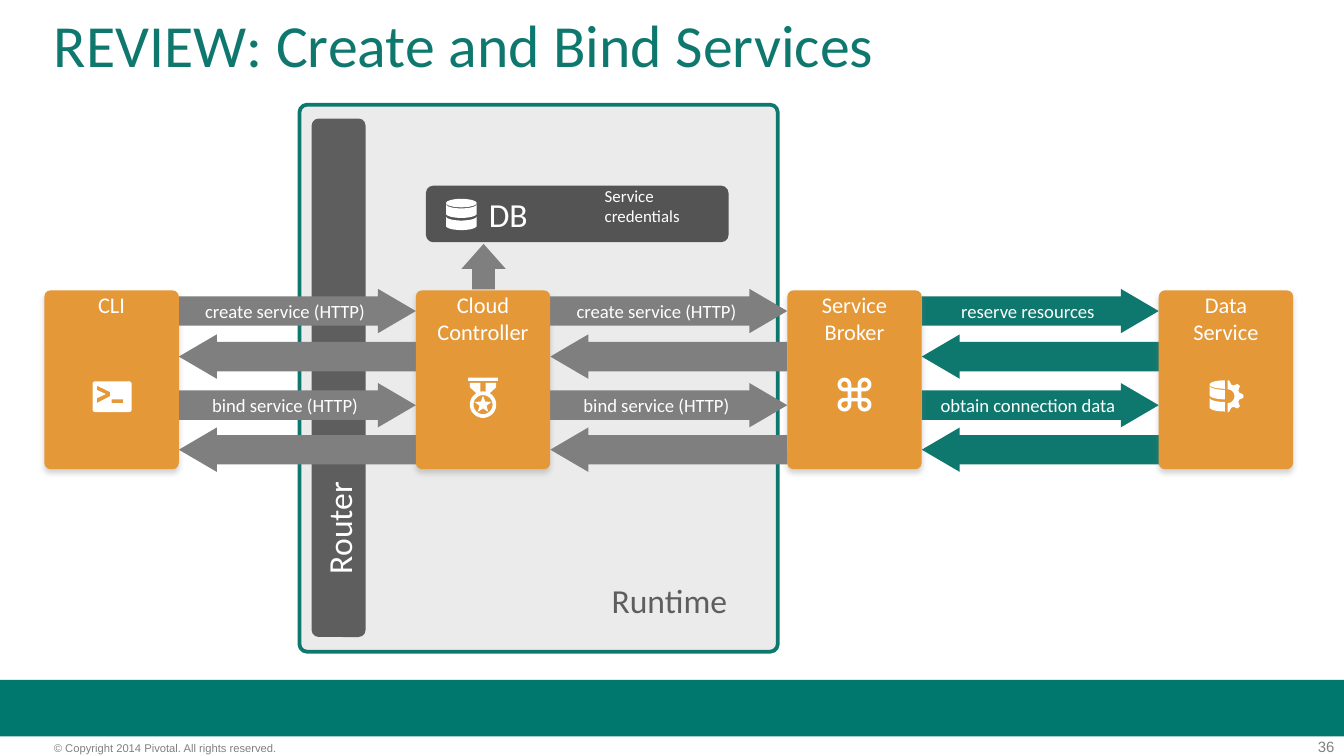
from dataclasses import dataclass
from math import cos, pi, sin

from lxml import etree
from pptx import Presentation
from pptx.dml.color import RGBColor
from pptx.enum import shapes, text
from pptx.oxml import ns
from pptx.util import Cm, Pt

Point = tuple[float, float]
Contour = list[Point]
KIND = shapes.MSO_SHAPE


@dataclass(frozen=True)
class Theme:
    teal: str = "0F786E"
    footer: str = "00786E"
    orange: str = "E49837"
    arrow: str = "7F7F7F"
    dark: str = "545454"
    router: str = "5E5E5E"
    panel: str = "EBEBEB"
    muted: str = "808080"
    white: str = "FFFFFF"
    font: str = "Calibri"
    small_font: str = "Arial"
    title: float = 32
    region: float = 18
    node: float = 12
    flow: float = 10
    credentials: float = 9
    page: float = 8
    copyright: float = 6


@dataclass(frozen=True)
class Box:
    left: float
    top: float
    width: float
    height: float

    def lengths(self) -> tuple[Cm, Cm, Cm, Cm]:
        return Cm(self.left), Cm(self.top), Cm(self.width), Cm(self.height)


@dataclass(frozen=True)
class Node:
    lines: tuple[str, ...]
    icon: list[Contour]
    icon_left: float
    icon_top: float


@dataclass(frozen=True)
class Exchange:
    """Two requests with their replies, between one node and the next."""
    requests: tuple[str, str]
    color: str


THEME = Theme()
NODE = Box(0.84, 5.49, 2.54, 3.38)
NODE_PITCH = 7.02
ARROW_HEIGHT = 0.84
REQUEST_TOPS = (5.46, 7.24)
REPLY_TOPS = (6.32, 8.08)


def write(shape, lines: tuple[str, ...], size: float, color: str, font: str = THEME.font,
          align=text.PP_ALIGN.LEFT, anchor=text.MSO_ANCHOR.TOP, indent: float = 0) -> None:
    frame = shape.text_frame
    frame.word_wrap = True
    frame.vertical_anchor = anchor
    frame.margin_left = Cm(indent)
    frame.margin_top = frame.margin_right = frame.margin_bottom = 0
    frame.text = "\n".join(lines)
    for paragraph in frame.paragraphs:
        paragraph.alignment = align
        paragraph.font.name = font
        paragraph.font.size = Pt(size)
        paragraph.font.color.rgb = RGBColor.from_string(color)


def add_text(canvas, box: Box, lines: tuple[str, ...], size: float, color: str, **style):
    label = canvas.add_textbox(*box.lengths())
    write(label, lines, size, color, **style)
    return label


def paint(shape, color: str) -> None:
    shape.shadow.inherit = False
    shape.fill.solid()
    shape.fill.fore_color.rgb = RGBColor.from_string(color)
    shape.line.fill.background()


def add_block(canvas, kind, box: Box, color: str, adjust: tuple[float, ...] = (), rotation: float = 0):
    block = canvas.add_shape(kind, *box.lengths())
    for index, value in enumerate(adjust):
        block.adjustments[index] = value
    block.rotation = rotation
    paint(block, color)
    return block


def add_soft_shadow(shape) -> None:
    effects = shape._element.spPr.find(ns.qn("a:effectLst"))
    shadow = etree.SubElement(effects, ns.qn("a:outerShdw"), blurRad="38100", dist="22860",
                              dir="5400000", rotWithShape="0")
    tint = etree.SubElement(shadow, ns.qn("a:srgbClr"), val=THEME.muted)
    etree.SubElement(tint, ns.qn("a:alpha"), val="35000")


def arc(x: float, y: float, rx: float, ry: float, start: float, end: float, steps: int = 24) -> Contour:
    angles = [start + (end - start) * i / steps for i in range(steps + 1)]
    return [(x + rx * cos(a), y + ry * sin(a)) for a in angles]


def rectangle(left: float, top: float, right: float, bottom: float) -> Contour:
    return [(left, top), (right, top), (right, bottom), (left, bottom)]


def cylinder(end: float = 0) -> list[Contour]:
    """Stacked discs; an end of pi / 2 keeps only the left half."""
    rx, ry = 0.29, 0.08
    lid = arc(rx, ry, rx, ry, 2 * pi - end, end) if end == 0 else arc(rx, ry, rx, ry, end, 3 * end)
    bands = [arc(rx, y, rx, ry, pi, end) + arc(rx, y + 0.18, rx, ry, end, pi) for y in (0.1, 0.33)]
    return [lid, *bands]


def half_gear(x: float, y: float) -> Contour:
    rim = [(0.3 if step % 4 in (0, 1) else 0.23, (step - 8.5) * pi / 16) for step in range(1, 17)]
    teeth = [(x + r * cos(a), y + r * sin(a)) for r, a in rim]
    return [(x, y - 0.3), *teeth, (x, y + 0.3)] + arc(x, y, 0.13, 0.13, pi / 2, -pi / 2)


def terminal() -> list[Contour]:
    corners = ((0.69, 0.53, 0), (0.05, 0.53, 1), (0.05, 0.05, 2), (0.69, 0.05, 3))
    window = [p for x, y, q in corners for p in arc(x, y, 0.05, 0.05, q * pi / 2, (q + 1) * pi / 2, 6)]
    prompt = [(0.08, 0.08), (0.33, 0.2), (0.33, 0.28), (0.08, 0.41), (0.08, 0.32), (0.25, 0.24), (0.08, 0.16)]
    return [window, prompt, rectangle(0.36, 0.34, 0.58, 0.41)]


def medal() -> list[Contour]:
    ribbon = [(0.03, 0.1), (0.23, 0.1), (0.23, 0.26), (0.15, 0.29), (0.03, 0.18)]
    mirrored = [(0.56 - x, y) for x, y in ribbon]
    rings = [arc(0.28, 0.51, r, r, 0, 2 * pi, 36) for r in (0.25, 0.18)]
    star = [(0.28 + r * sin(i * pi / 5), 0.51 - r * cos(i * pi / 5))
            for i in range(10) for r in ((0.17, 0.07)[i % 2],)]
    return [rectangle(0, 0, 0.56, 0.06), ribbon, mirrored, *rings, star]


def looped_square() -> list[Contour]:
    """Four corner loops around a square, centred on the origin."""
    edge = arc(-0.19, -0.19, 0.13, 0.13, pi / 2, 2 * pi) + [(-0.06, -0.13), (0.06, -0.13)]
    hole = arc(-0.19, -0.19, 0.06, 0.06, pi / 2, 2 * pi) + [(-0.13, -0.13)]
    outline, holes = [], []
    for _ in range(4):
        outline += edge
        holes.append(hole)
        edge, hole = ([(-y, x) for x, y in part] for part in (edge, hole))
    return [outline, *holes, rectangle(-0.06, -0.06, 0.06, 0.06)]


def add_icon(canvas, contours: list[Contour], left: float, top: float) -> None:
    placed = [[(Cm(left + x), Cm(top + y)) for x, y in contour] for contour in contours]
    builder = canvas.build_freeform(*placed[0][0])
    for index, contour in enumerate(placed):
        if index:
            builder.move_to(*contour[0])
        builder.add_line_segments(contour[1:], close=True)
    paint(builder.convert_to_shape(), THEME.white)


def add_exchange(canvas, position: int, exchange: Exchange) -> None:
    left = NODE.left + NODE.width + position * NODE_PITCH
    width = NODE_PITCH - NODE.width
    for request, top, reply_top in zip(exchange.requests, REQUEST_TOPS, REPLY_TOPS):
        add_block(canvas, KIND.RIGHT_ARROW, Box(left, reply_top, width, ARROW_HEIGHT),
                  exchange.color, (0.66, 0.854), 180)
        group = canvas.add_group_shape().shapes
        add_block(group, KIND.RIGHT_ARROW, Box(left, top, width, ARROW_HEIGHT), exchange.color, (0.66, 0.854))
        add_text(group, Box(left, top + 0.18, 4.01, 0.48), (request,), THEME.flow, THEME.white,
                 align=text.PP_ALIGN.CENTER, anchor=text.MSO_ANCHOR.MIDDLE)


def add_node(canvas, position: int, node: Node) -> None:
    left = NODE.left + position * NODE_PITCH
    group = canvas.add_group_shape().shapes
    card = add_block(group, KIND.ROUNDED_RECTANGLE, Box(left, NODE.top, NODE.width, NODE.height),
                     THEME.orange, (0.046,))
    add_soft_shadow(card)
    add_text(group, Box(left + 0.04, NODE.top + 0.02, 2.46, 0.56 * len(node.lines)), node.lines,
             THEME.node, THEME.white, align=text.PP_ALIGN.CENTER)
    add_icon(canvas, node.icon, left + node.icon_left, NODE.top + node.icon_top)


def add_runtime(canvas) -> None:
    panel = add_block(canvas, KIND.ROUNDED_RECTANGLE, Box(5.66, 1.98, 9.04, 10.34), THEME.panel, (0.016,))
    panel.line.color.rgb = RGBColor.from_string(THEME.teal)
    panel.line.width = Pt(2)
    database = add_block(canvas, KIND.ROUNDED_RECTANGLE, Box(8.05, 3.51, 5.72, 1.07), THEME.dark, (0.13,))
    router = add_block(canvas, KIND.ROUNDED_RECTANGLE, Box(1.5, 6.63, 9.8, 1.02), THEME.router, (0.131,), 270)
    for bar, name in ((database, "DB"), (router, "Router")):
        write(bar, (name,), THEME.region, THEME.white, anchor=text.MSO_ANCHOR.MIDDLE, indent=1.15)
    add_icon(canvas, cylinder(), 8.43, 3.76)
    add_text(canvas, Box(11.43, 3.51, 1.88, 1.09), ("Service", "credentials"), THEME.credentials, THEME.white)
    add_block(canvas, KIND.RIGHT_ARROW, Box(8.71, 4.62, 0.86, 0.84), THEME.arrow, (0.51, 0.564), 270)
    add_text(canvas, Box(11.56, 10.97, 2.69, 1.14), ("Runtime",), THEME.region, THEME.router)


def main() -> None:
    deck = Presentation()
    deck.slide_width, deck.slide_height = Cm(25.4), Cm(14.29)
    canvas = deck.slides.add_slide(deck.slide_layouts[6]).shapes

    add_block(canvas, KIND.RECTANGLE, Box(0, 12.85, 25.4, 1.07), THEME.footer)
    add_text(canvas, Box(1.02, 14.02, 6.32, 0.36), ("© Copyright 2014 Pivotal. All rights reserved.",),
             THEME.copyright, THEME.muted, font=THEME.small_font)
    add_text(canvas, Box(23.75, 13.94, 1.47, 0.36), ("36",), THEME.page, THEME.muted,
             font=THEME.small_font, align=text.PP_ALIGN.RIGHT)
    title = add_text(canvas, Box(1.02, 0.3, 23.37, 1.55), ("REVIEW: Create and Bind Services",),
                     THEME.title, THEME.teal)
    title.text_frame.paragraphs[0].line_spacing = 0.9

    add_runtime(canvas)
    http = Exchange(("create service (HTTP)", "bind service (HTTP)"), THEME.arrow)
    provisioning = Exchange(("reserve resources", "obtain connection data"), THEME.teal)
    for position, exchange in enumerate((http, http, provisioning)):
        add_exchange(canvas, position, exchange)
    nodes = (
        Node(("CLI",), terminal(), 0.91, 1.72),
        Node(("Cloud Controller",), medal(), 0.99, 1.65),
        Node(("Service", "Broker"), looped_square(), 1.27, 1.97),
        Node(("Data", "Service"), [*cylinder(pi / 2), half_gear(0.34, 0.3)], 0.96, 1.7),
    )
    for position, node in enumerate(nodes):
        add_node(canvas, position, node)
    deck.save("out.pptx")


if __name__ == "__main__":
    main()
